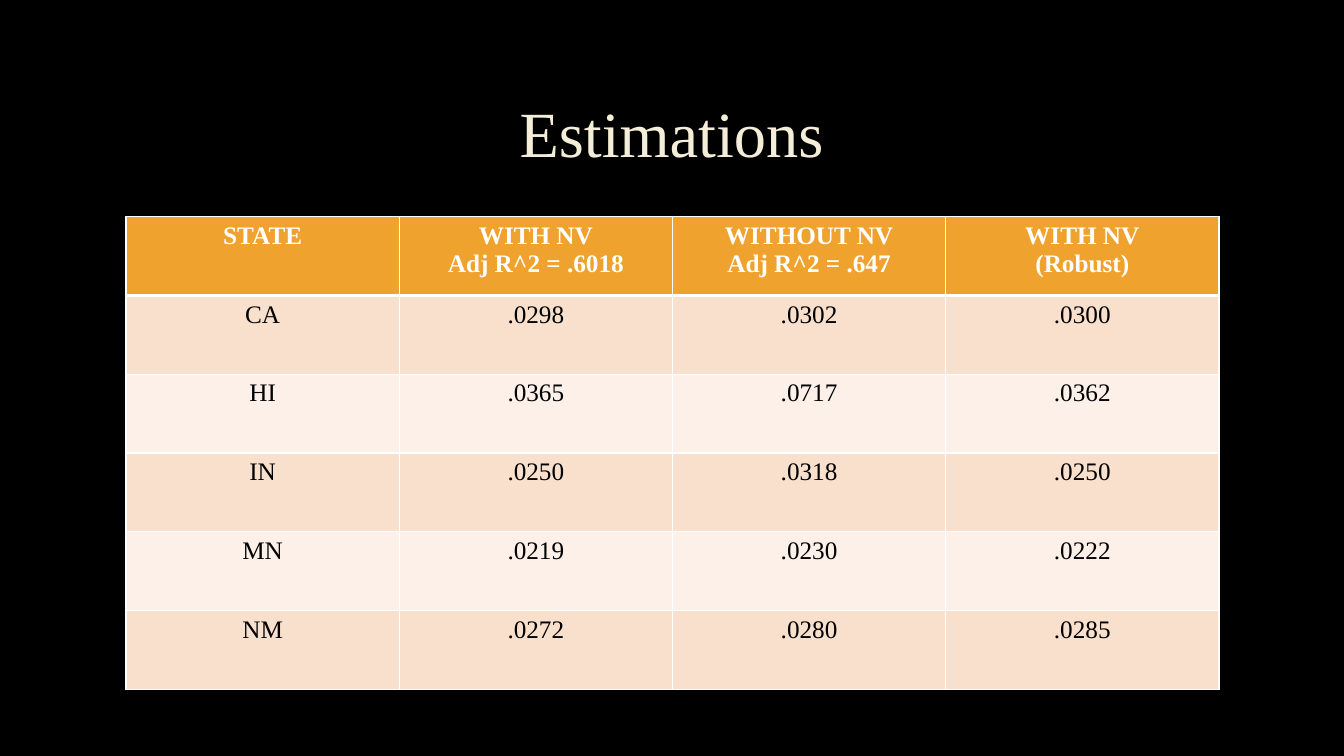
from pptx import Presentation
from pptx.dml.color import RGBColor
from pptx.enum.text import MSO_ANCHOR, PP_ALIGN
from pptx.oxml import parse_xml
from pptx.oxml.ns import nsdecls
from pptx.util import Inches, Pt


def paint(fill, color):
    fill.solid()
    fill.fore_color.rgb = RGBColor.from_string(color)


def write(frame, text, color, style):
    frame.text = text
    for para in frame.paragraphs:
        para.alignment = PP_ALIGN.CENTER
        font = para.runs[0].font
        paint(font.fill, color)
        for name, value in style.items():
            setattr(font, name, value)


FACE = "Times New Roman"
ROWS = [
    ["STATE", "WITH NV\nAdj R^2 = .6018", "WITHOUT NV\nAdj R^2 = .647", "WITH NV\n(Robust)"],
    ["CA", ".0298", ".0302", ".0300"],
    ["HI", ".0365", ".0717", ".0362"],
    ["IN", ".0250", ".0318", ".0250"],
    ["MN", ".0219", ".0230", ".0222"],
    ["NM", ".0272", ".0280", ".0285"],
]

deck = Presentation()
deck.slide_width, deck.slide_height = Inches(13.33), Inches(7.5)
slide = deck.slides.add_slide(deck.slide_layouts[6])
paint(slide.background.fill, "000000")

title = slide.shapes.add_textbox(Inches(1), Inches(0.67), Inches(11.32), Inches(1.38)).text_frame
title.word_wrap = True
title.vertical_anchor = MSO_ANCHOR.MIDDLE
write(title, "Estimations", "F4EDD8", {"name": FACE, "size": Pt(46)})
title.paragraphs[0].line_spacing = 0.9

table = slide.shapes.add_table(
    len(ROWS), len(ROWS[0]), Inches(1.25), Inches(2.15), Inches(10.84), Inches(4.69)
).table

for r, row in enumerate(ROWS):
    head = r == 0
    back = "F0A22E" if head else ("FCF0E8", "F9E0CD")[r % 2]
    ink = "FFFFFF" if head else "000000"
    edges = {"lnL": 1, "lnR": 1, "lnT": 3 if r == 1 else 1, "lnB": 3 if head else 1}
    for c, text in enumerate(row):
        cell = table.cell(r, c)
        write(cell.text_frame, text, ink, {"name": FACE, "size": Pt(18), "bold": head})
        props = cell._tc.get_or_add_tcPr()
        for edge, width in edges.items():
            props.append(parse_xml(
                f'<a:{edge} {nsdecls("a")} w="{Pt(width)}"><a:solidFill>'
                f'<a:srgbClr val="FFFFFF"/></a:solidFill></a:{edge}>'
            ))
        paint(cell.fill, back)

deck.save("out.pptx")
